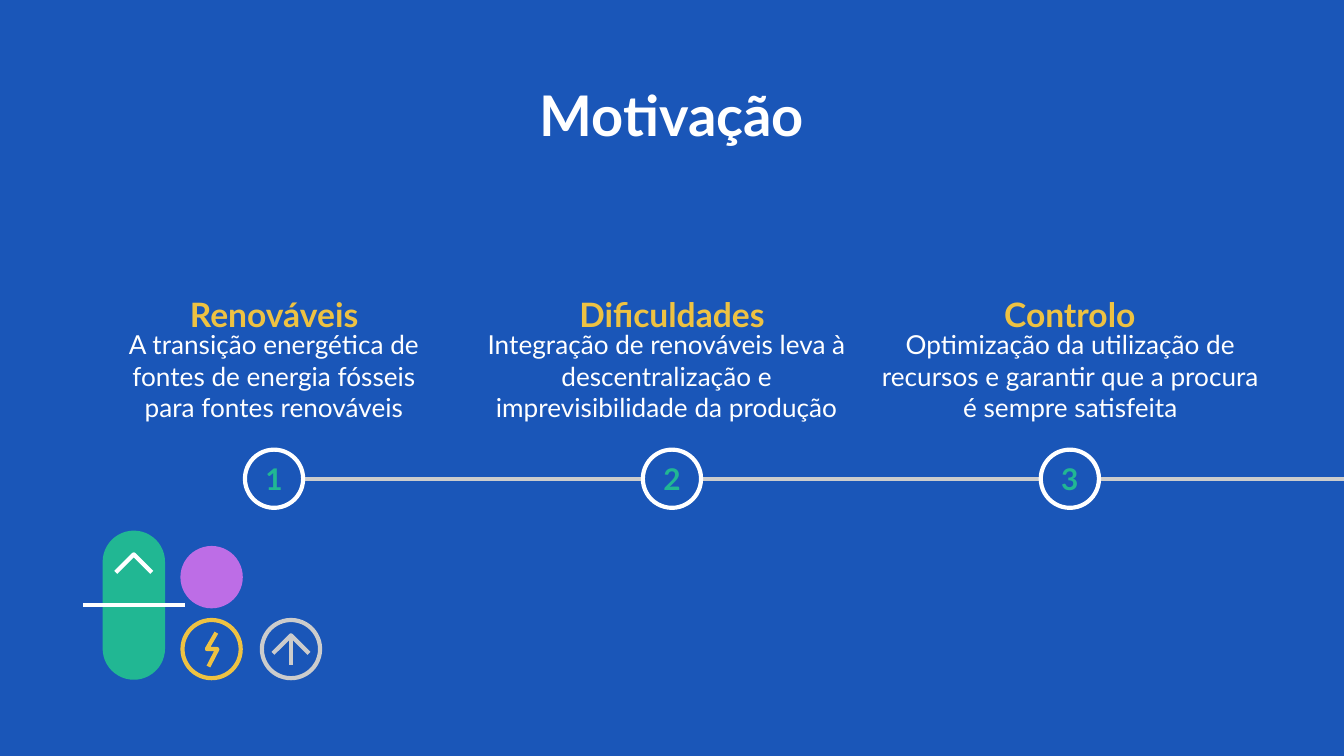
import pptx
import pptx.util
import pptx.dml.color
import pptx.enum.shapes
import pptx.enum.text
from lxml import etree

Cm, Pt = pptx.util.Cm, pptx.util.Pt
Kind = pptx.enum.shapes.MSO_SHAPE

# Content: heading, body, body centre, body width
TITLE = "Motivação"
STEPS = [
    ("Renováveis", "A transição energética de fontes de energia fósseis "
     "para fontes renováveis", 5.18, 6.4),
    ("Dificuldades", "Integração de renováveis leva à descentralização e "
     "imprevisibilidade da produção", 12.6, 6.96),
    ("Controlo", "Optimização da utilização de recursos e garantir que a "
     "procura é sempre satisfeita", 20.23, 7.34),
]
BLUE, WHITE, GREEN = "1A56B8", "FFFFFF", "21B793"
GOLD, GREY, PURPLE = "EEC242", "CCCCCC", "BD6DE6"

# Layout in centimetres
WIDTH, HEIGHT = 25.4, 14.29
MID, STEP = WIDTH / 2, 7.52
AXIS = 9.05
DISC = 1.1
BOLT = [(4.09, 11.96), (3.91, 12.27), (4.11, 12.27), (3.94, 12.6)]


def color(code):
    return pptx.dml.color.RGBColor.from_string(code)


def stroke(item, code):
    item.line.color.rgb = color(code)
    item.line.width = Pt(2.25)


def write(box, text, size, code, bold=False):
    frame = box.text_frame
    frame.text = text
    frame.word_wrap = True
    frame.auto_size = pptx.enum.text.MSO_AUTO_SIZE.NONE
    frame.vertical_anchor = pptx.enum.text.MSO_ANCHOR.MIDDLE
    frame.margin_left = frame.margin_right = 0
    frame.margin_top = frame.margin_bottom = 0
    par = frame.paragraphs[0]
    par.alignment = pptx.enum.text.PP_ALIGN.CENTER
    font = par.runs[0].font
    font.name, font.size, font.bold = "Lato", Pt(size), bold
    font.color.rgb = color(code)


def label(mid, top, width, height, *style):
    box = shapes.add_textbox(Cm(mid - width / 2), Cm(top),
                             Cm(width), Cm(height))
    write(box, *style)


def solid(kind, left, top, width, height, line, fill=None):
    item = shapes.add_shape(kind, Cm(left), Cm(top), Cm(width), Cm(height))
    item.shadow.inherit = False
    if fill:
        item.fill.solid()
        item.fill.fore_color.rgb = color(fill)
    else:
        item.fill.background()
    stroke(item, line)
    return item


def disc(left, top, line, fill=None):
    solid(Kind.OVAL, left, top, DISC, DISC, line, fill)


def rule(x1, y1, x2, y2, code):
    item = shapes.add_connector(pptx.enum.shapes.MSO_CONNECTOR.STRAIGHT,
                                Cm(x1), Cm(y1), Cm(x2), Cm(y2))
    stroke(item, code)
    etree.SubElement(item._element.spPr,
                     pptx.oxml.ns.qn("a:effectLst"))


def trace(points, code):
    spots = [(Cm(x), Cm(y)) for x, y in points]
    pen = shapes.build_freeform(*spots[0])
    pen.add_line_segments(spots[1:], close=False)
    item = pen.convert_to_shape()
    item.shadow.inherit = False
    item.fill.background()
    stroke(item, code)


def caret(x, y, code, arm=0.34):
    trace([(x - arm, y + arm), (x, y), (x + arm, y + arm)], code)


# Slide and title
deck = pptx.Presentation()
deck.slide_width, deck.slide_height = Cm(WIDTH), Cm(HEIGHT)
slide = deck.slides.add_slide(deck.slide_layouts[5])
slide.background.fill.solid()
slide.background.fill.fore_color.rgb = color(BLUE)
shapes = slide.shapes
title = shapes.title
title.left, title.top = Cm(1.98), Cm(1.5)
title.width, title.height = Cm(21.44), Cm(1.32)
write(title, TITLE, 30, WHITE, True)

# Timeline
rule(MID - STEP, AXIS, WIDTH, AXIS, GREY)
for num, (head, body, spot, span) in enumerate(STEPS):
    mid = MID + (num - 1) * STEP
    disc(mid - DISC / 2, AXIS - DISC / 2, WHITE, BLUE)
    label(mid, AXIS - 0.5, DISC, 1, str(num + 1), 16, GREEN, True)
    label(mid, 5.44, 6.4, 1, head, 18, GOLD, True)
    label(spot, 6.43, span, 1.35, body, 14, WHITE)

# Green pill with caret and dash
pill = solid(Kind.ROUNDED_RECTANGLE, 1.98, 10.07, DISC, 2.74, GREEN, GREEN)
pill.adjustments[0] = 0.5
caret(2.53, 10.48, WHITE)
rule(1.57, 11.43, 3.49, 11.43, WHITE)

# Bolt, arrow and plain disc
disc(3.45, 11.72, GOLD)
trace(BOLT, GOLD)
disc(4.95, 11.72, GREY)
caret(5.5, 12.01, GREY)
rule(5.5, 12.01, 5.5, 12.57, GREY)
disc(3.45, 10.36, PURPLE, PURPLE)

deck.save("out.pptx")
